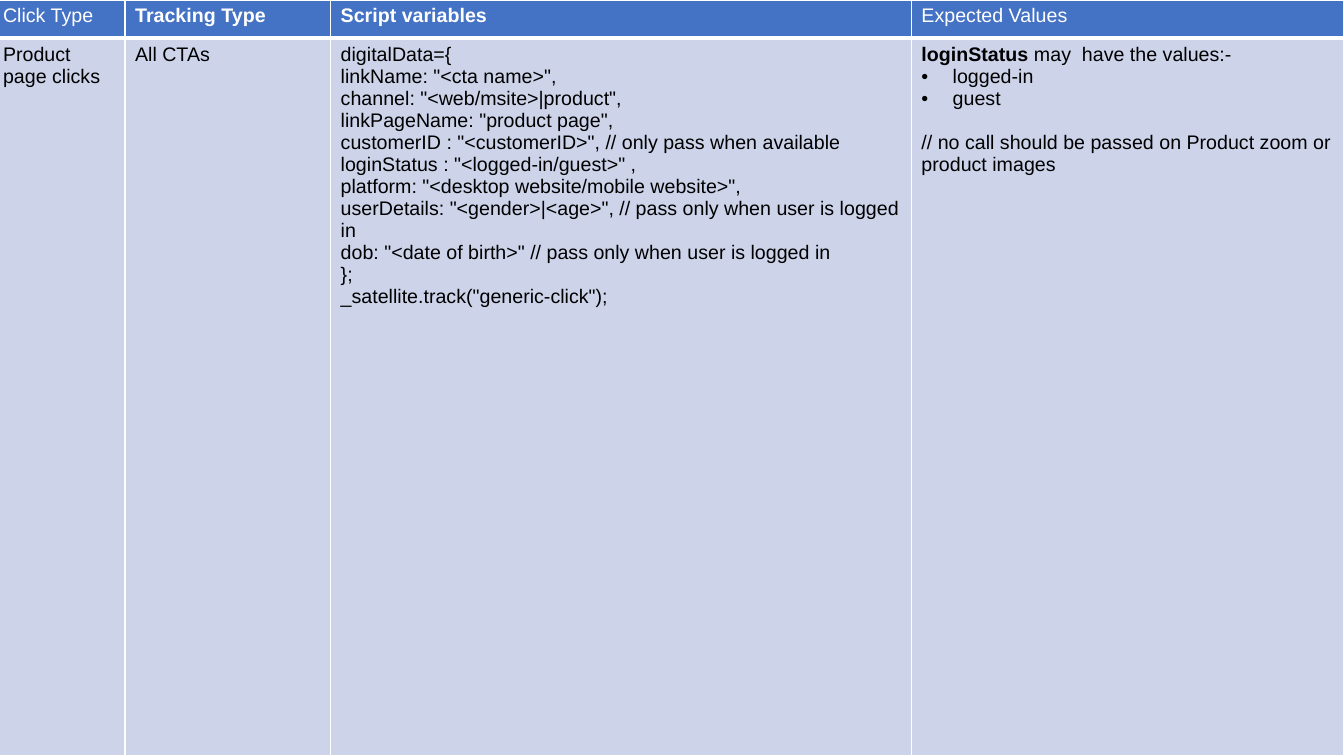
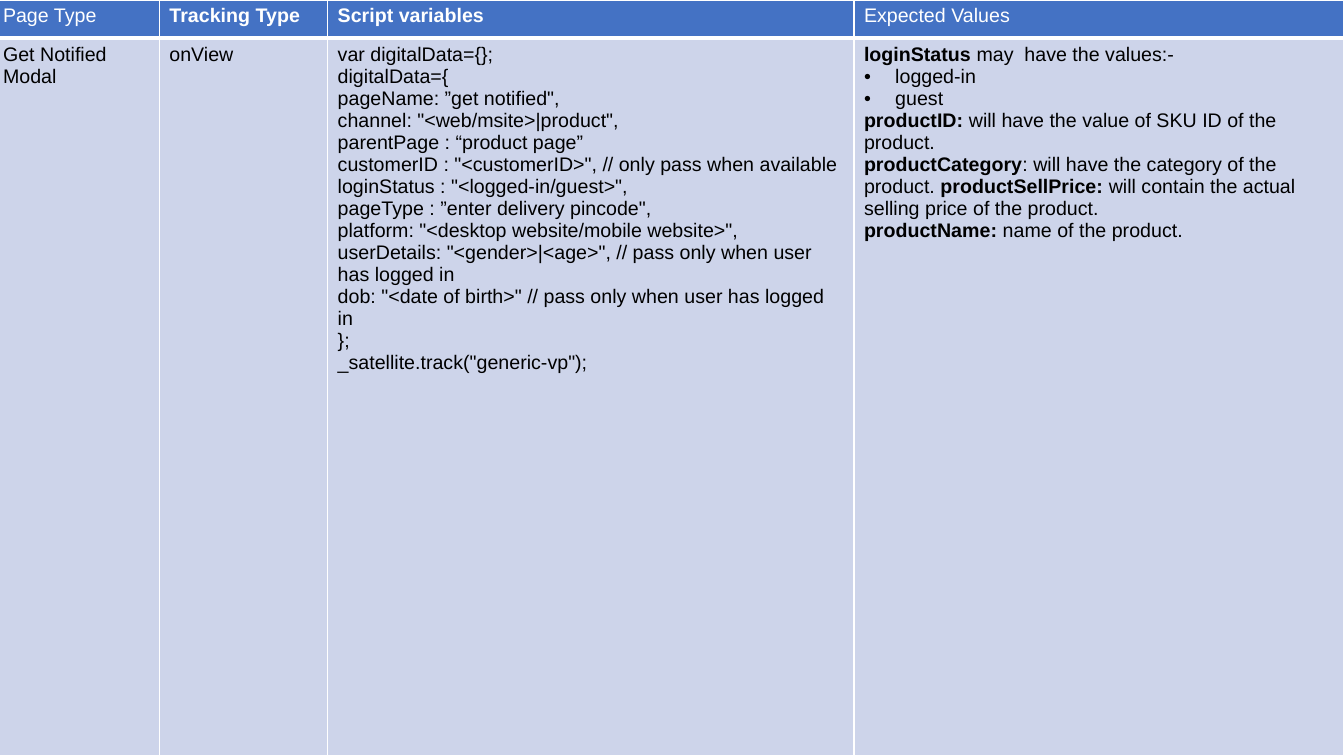
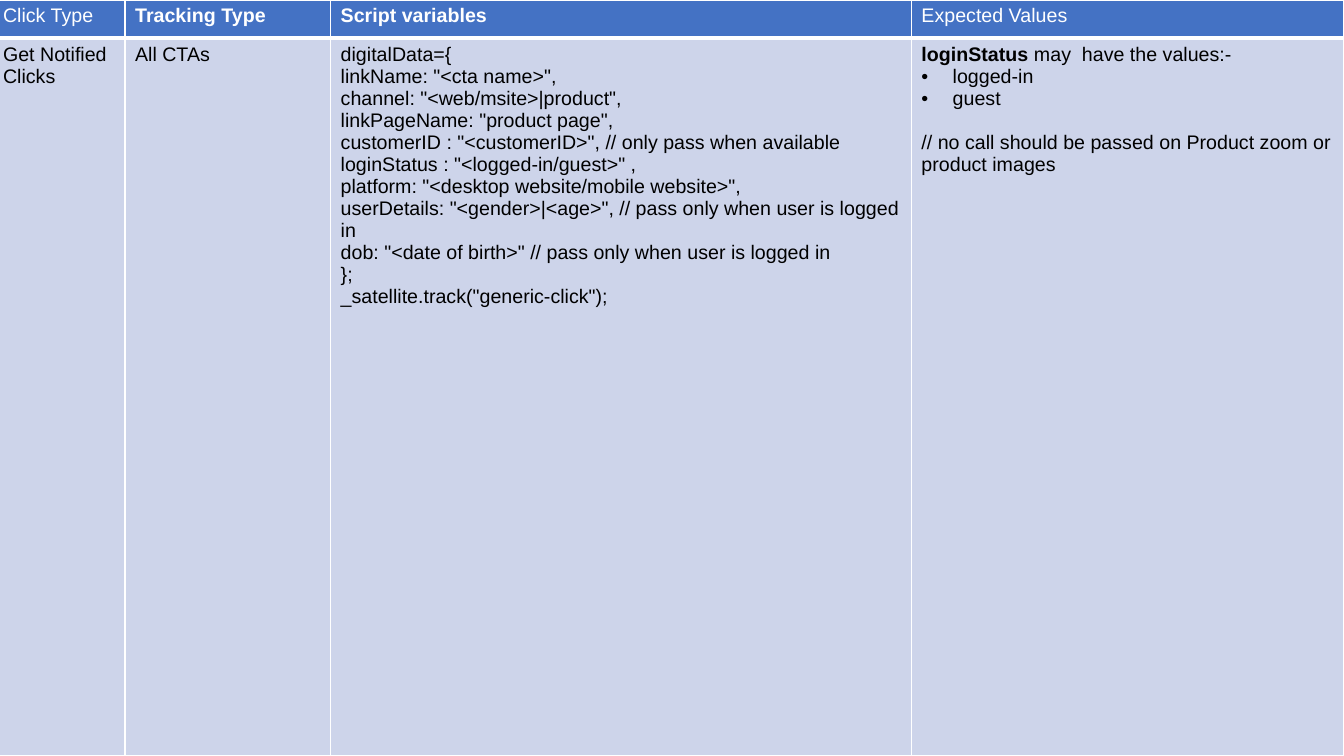
from dataclasses import dataclass

import lxml.etree
import pptx
import pptx.dml.color
import pptx.oxml.ns
import pptx.util

PX = 9144  # EMU in one px, 100 px to the inch


@dataclass(frozen=True)
class Theme:
    head: str = "4472C4"
    body: str = "CDD4EA"
    light: str = "FFFFFF"
    dark: str = "000000"
    font: str = "Arial"
    size: int = 14
    gap: int = 16
    thin: int = 1
    thick: int = 3


@dataclass(frozen=True)
class Line:
    text: str  # ** switches bold on and off
    dot: bool = False
    gap: int = 0


@dataclass(frozen=True)
class Page:
    kind: str
    name: str
    track: str
    code: str
    notes: tuple[Line, ...]
    cols: tuple[int, ...]


THEME = Theme()
WIDE, HIGH = 1333, 750
LEFT = -7
ROWS = (38, 712)
DENT = 31

# Wording
CLICK = """digitalData={
linkName: "<cta name>",
channel: "<web/msite>|product",
linkPageName: "product page",
customerID : "<customerID>", // only pass when available
loginStatus : "<logged-in/guest>" ,
platform: "<desktop website/mobile website>",
userDetails: "<gender>|<age>", // pass only when user is logged in
dob: "<date of birth>" // pass only when user is logged in
};
_satellite.track("generic-click");"""

VIEW = """var digitalData={};
digitalData={
pageName: ”get notified",
channel: "<web/msite>|product",
parentPage : “product page”
customerID : "<customerID>", // only pass when available
loginStatus : "<logged-in/guest>",
pageType : ”enter delivery pincode",
platform: "<desktop website/mobile website>",
userDetails: "<gender>|<age>", // pass only when user has logged in
dob: "<date of birth>" // pass only when user has logged in
};
_satellite.track("generic-vp");"""

LOGIN = (
    Line("**loginStatus **may  have the values:-"),
    Line("logged-in", dot=True),
    Line("guest", dot=True),
)
ZOOM = Line("// no call should be passed on Product zoom or product images",
            gap=THEME.gap)
GOODS = (
    Line("**productID:** will have the value of SKU ID of the product."),
    Line("**productCategory**: will have the category of the product. "
         "**productSellPrice: **will contain the actual selling price of the product."),
    Line("**productName: **name of the product."),
)


def click(name: str) -> Page:
    return Page("Click Type", name, "All CTAs", CLICK, LOGIN + (ZOOM,),
                (131, 204, 576, 429))


PAGES = (
    click("Product page clicks"),
    Page("Page Type", "Get Notified Modal", "onView", VIEW, LOGIN + GOODS,
         (165, 167, 522, 486)),
    click("Get Notified Clicks"),
)


def rgb(tint: str) -> pptx.dml.color.RGBColor:
    return pptx.dml.color.RGBColor.from_string(tint)


def node(root, tag: str, **attrs: str):
    return lxml.etree.SubElement(root, pptx.oxml.ns.qn(tag), attrs)


# Text
def put(para, text: str, *, tint: str, dot: bool = False, gap: int = 0) -> None:
    if gap:
        para.space_before = pptx.util.Pt(gap)
    if dot:
        props = para._p.get_or_add_pPr()
        props.set("marL", str(DENT * PX))
        props.set("indent", str(-DENT * PX))
        node(node(props, "a:buClr"), "a:srgbClr", val=tint)
        node(props, "a:buFont", typeface=THEME.font)
        node(props, "a:buChar", char="•")
    for i, part in enumerate(text.split("**")):
        if part:
            run = para.add_run()
            run.text = part
            font = run.font
            font.name, font.size = THEME.font, pptx.util.Pt(THEME.size)
            font.bold = i % 2 == 1
            font.color.rgb = rgb(tint)


# Cells
def edge(cell, top: int, base: int) -> None:
    props = cell._tc.get_or_add_tcPr()
    sides = {"L": THEME.thin, "R": THEME.thin, "T": top, "B": base}
    for i, (side, width) in enumerate(sides.items()):
        line = node(props, f"a:ln{side}", w=str(pptx.util.Pt(width)))
        node(node(line, "a:solidFill"), "a:srgbClr", val=THEME.light)
        props.insert(i, line)


def fill(cell, lines: tuple[Line, ...], *, head: bool) -> None:
    cell.fill.solid()
    cell.fill.fore_color.rgb = rgb(THEME.head if head else THEME.body)
    if head:
        edge(cell, THEME.thin, THEME.thick)
    else:
        edge(cell, THEME.thick, THEME.thin)
    frame = cell.text_frame
    for i, line in enumerate(lines):
        para = frame.add_paragraph() if i else frame.paragraphs[0]
        put(para, line.text, tint=THEME.light if head else THEME.dark,
            dot=line.dot, gap=line.gap)


# Slides
def draw(deck, page: Page) -> None:
    slide = deck.slides.add_slide(deck.slide_layouts[6])
    grid = slide.shapes.add_table(len(ROWS), len(page.cols), LEFT * PX, 0,
                                  sum(page.cols) * PX, sum(ROWS) * PX).table
    grid.first_row = grid.horz_banding = False
    for col, width in zip(grid.columns, page.cols):
        col.width = width * PX
    for row, height in zip(grid.rows, ROWS):
        row.height = height * PX
    heads = (page.kind, "**Tracking Type**", "**Script variables**",
             "Expected Values")
    code = tuple(Line(text) for text in page.code.splitlines())
    body = ((Line(page.name),), (Line(page.track),), code, page.notes)
    for i, (text, lines) in enumerate(zip(heads, body)):
        fill(grid.cell(0, i), (Line(text),), head=True)
        fill(grid.cell(1, i), lines, head=False)


def main() -> None:
    deck = pptx.Presentation()
    deck.slide_width, deck.slide_height = WIDE * PX, HIGH * PX
    for page in PAGES:
        draw(deck, page)
    deck.save("out.pptx")


if __name__ == "__main__":
    main()
